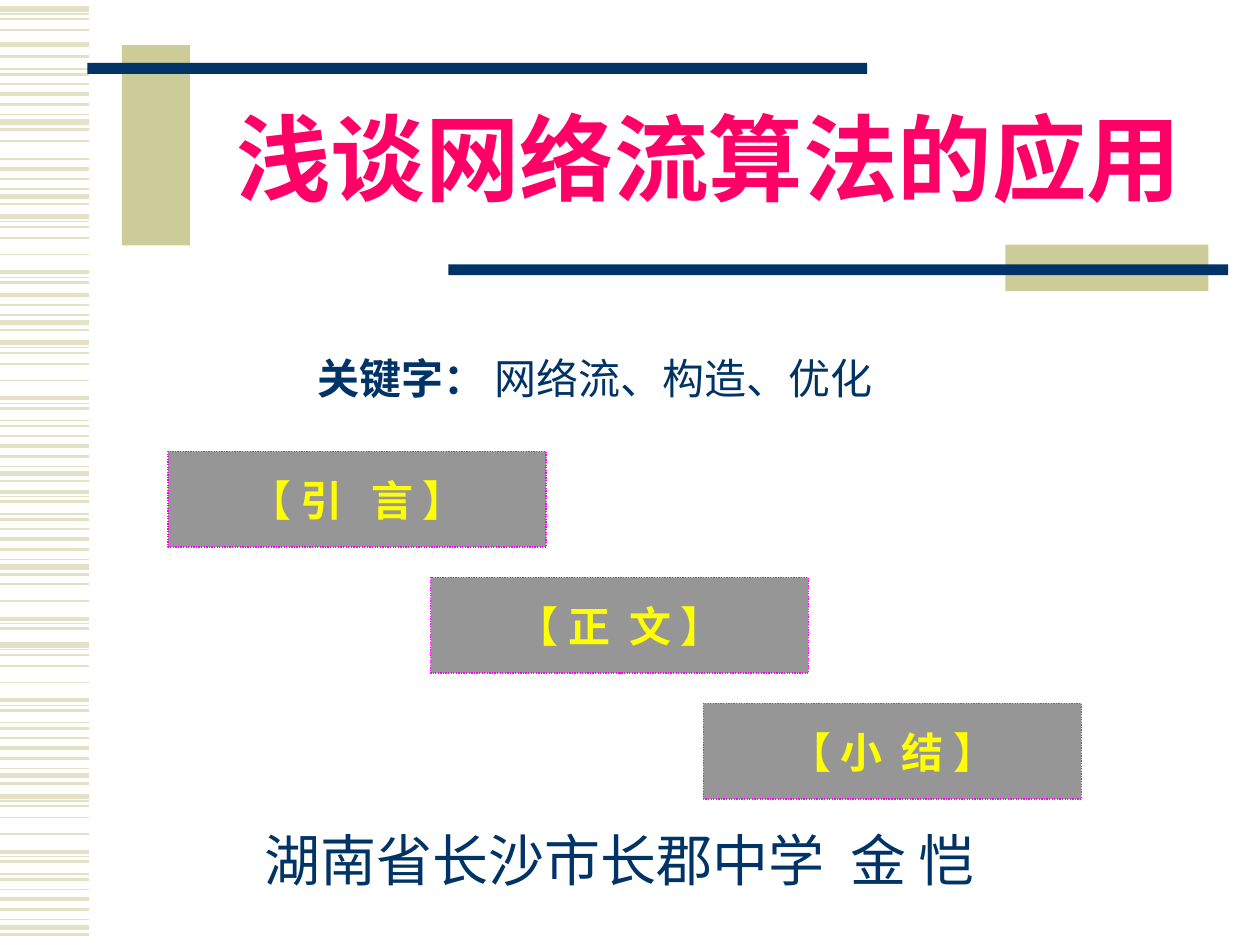
from dataclasses import dataclass

from lxml.etree import SubElement
from pptx import Presentation
from pptx.dml.color import RGBColor
from pptx.enum.dml import MSO_LINE
from pptx.enum.shapes import MSO_CONNECTOR, MSO_SHAPE
from pptx.enum.text import MSO_ANCHOR, PP_ALIGN as Align
from pptx.oxml.ns import qn
from pptx.util import Cm, Pt


@dataclass(frozen=True)
class Theme:
    stripe: str = "E3E2C7"
    sand: str = "CCCC99"
    navy: str = "003366"
    title: str = "FF0066"
    box: str = "969696"
    box_line: str = "FF00FF"
    box_text: str = "FFFF00"
    serif: str = "Times New Roman"
    sans: str = "Noto Sans CJK SC"
    title_size: int = 54
    author_size: int = 32
    body_size: int = 24


@dataclass(frozen=True)
class Box:
    left: float
    top: float
    width: float
    height: float

    def lengths(self) -> tuple:
        return Cm(self.left), Cm(self.top), Cm(self.width), Cm(self.height)


@dataclass(frozen=True)
class Run:
    text: str
    size: int
    color: str
    bold: bool = False
    font: str = Theme.sans


@dataclass(frozen=True)
class Band:
    """A stretch of the stripe pattern: its origin and the stripes it uses."""
    top: float
    first: int = 0
    stop: int = 16


T = Theme()
STRIPE_WIDTH = 1.8

# Stripe pattern: offset in cm, weight in points
PATTERN = [
    (0, 3), (0.1, 0.75), (0.2, 1), (0.43, 1), (0.76, 1), (1.12, 2.25),
    (1.22, 0.75), (1.32, 1.5), (1.57, 0.75), (1.68, 1.5), (1.88, 1),
    (2.08, 2.25), (2.29, 1.5), (2.49, 0.75), (2.64, 3), (2.79, 1.5),
]
BANDS = [
    Band(0.18, 0, 4), Band(0.89, 0, 1), Band(-0.18, 7), Band(2.08, 4, 5),
    Band(1.32, 10), Band(4.37, 0, 8), Band(3.86, 11), Band(6.91),
    Band(8.79, 5), Band(11.35, 3, 8), Band(13), Band(16.05),
]
BARS = [
    (Box(2.46, 0.91, 1.37, 4.04), T.sand),
    (Box(1.76, 1.27, 15.72, 0.22), T.navy),
    (Box(20.27, 4.93, 4.09, 0.94), T.sand),
    (Box(9.04, 5.33, 15.72, 0.22), T.navy),
]
SECTIONS = [(3.39, "【 引   言 】"), (8.68, "【 正  文 】"), (14.18, "【 小  结 】")]
SECTION_TOP, SECTION_STEP = 9.1, 2.54


def rgb(color: str) -> RGBColor:
    return RGBColor.from_string(color)


def add_stripe(s, y: float, weight: float) -> None:
    line = s.shapes.add_connector(
        MSO_CONNECTOR.STRAIGHT, Cm(0), Cm(y), Cm(STRIPE_WIDTH), Cm(y))
    line.line.color.rgb = rgb(T.stripe)
    line.line.width = Pt(weight)
    SubElement(line._element.spPr, qn("a:effectLst"))


def add_rect(s, box: Box, color: str):
    sp = s.shapes.add_shape(MSO_SHAPE.RECTANGLE, *box.lengths())
    sp.shadow.inherit = False
    sp.fill.solid()
    sp.fill.fore_color.rgb = rgb(color)
    sp.line.fill.background()
    return sp


def write(tf, runs: list[Run], align: Align) -> None:
    tf.word_wrap = True
    p = tf.paragraphs[0]
    p.alignment = align
    for run in runs:
        r = p.add_run()
        r.text = run.text
        r.font.name = run.font
        r.font.size = Pt(run.size)
        r.font.bold = run.bold
        r.font.color.rgb = rgb(run.color)
        SubElement(r.font._element, qn("a:ea"), typeface=T.sans)


def add_text(s, box: Box, runs: list[Run], align: Align = Align.CENTER) -> None:
    tf = s.shapes.add_textbox(*box.lengths()).text_frame
    write(tf, runs, align)


def add_section(s, box: Box, label: str) -> None:
    sp = add_rect(s, box, T.box)
    sp.line.color.rgb = rgb(T.box_line)
    sp.line.width = Pt(0.75)
    sp.line.dash_style = MSO_LINE.ROUND_DOT
    sp.text_frame.vertical_anchor = MSO_ANCHOR.MIDDLE
    write(sp.text_frame, [Run(label, T.body_size, T.box_text, True)], Align.CENTER)


def main() -> None:
    prs = Presentation()
    prs.slide_width, prs.slide_height = Cm(25.4), Cm(19.05)
    s = prs.slides.add_slide(prs.slide_layouts[6])

    # Striped left edge
    for band in BANDS:
        for offset, weight in PATTERN[band.first:band.stop]:
            add_stripe(s, band.top + offset, weight)

    # Bars around the title
    for box, color in BARS:
        add_rect(s, box, color)

    # Title, author and keywords
    add_text(s, Box(4.45, 1.9, 19.68, 2.54),
             [Run("浅谈网络流算法的应用", T.title_size, T.title, True, T.serif)])
    add_text(s, Box(3.71, 16.51, 17.58, 1.63),
             [Run("湖南省长沙市长郡中学  金 恺", T.author_size, T.navy)])
    add_text(s, Box(6.15, 6.99, 14.6, 1.27),
             [Run("关键字： ", T.body_size, T.navy, True),
              Run("网络流、构造、优化", T.body_size, T.navy)], Align.LEFT)

    # Sections, stepping down to the right
    for i, (left, label) in enumerate(SECTIONS):
        add_section(s, Box(left, SECTION_TOP + i * SECTION_STEP, 7.62, 1.93), label)

    prs.save("out.pptx")


if __name__ == "__main__":
    main()
